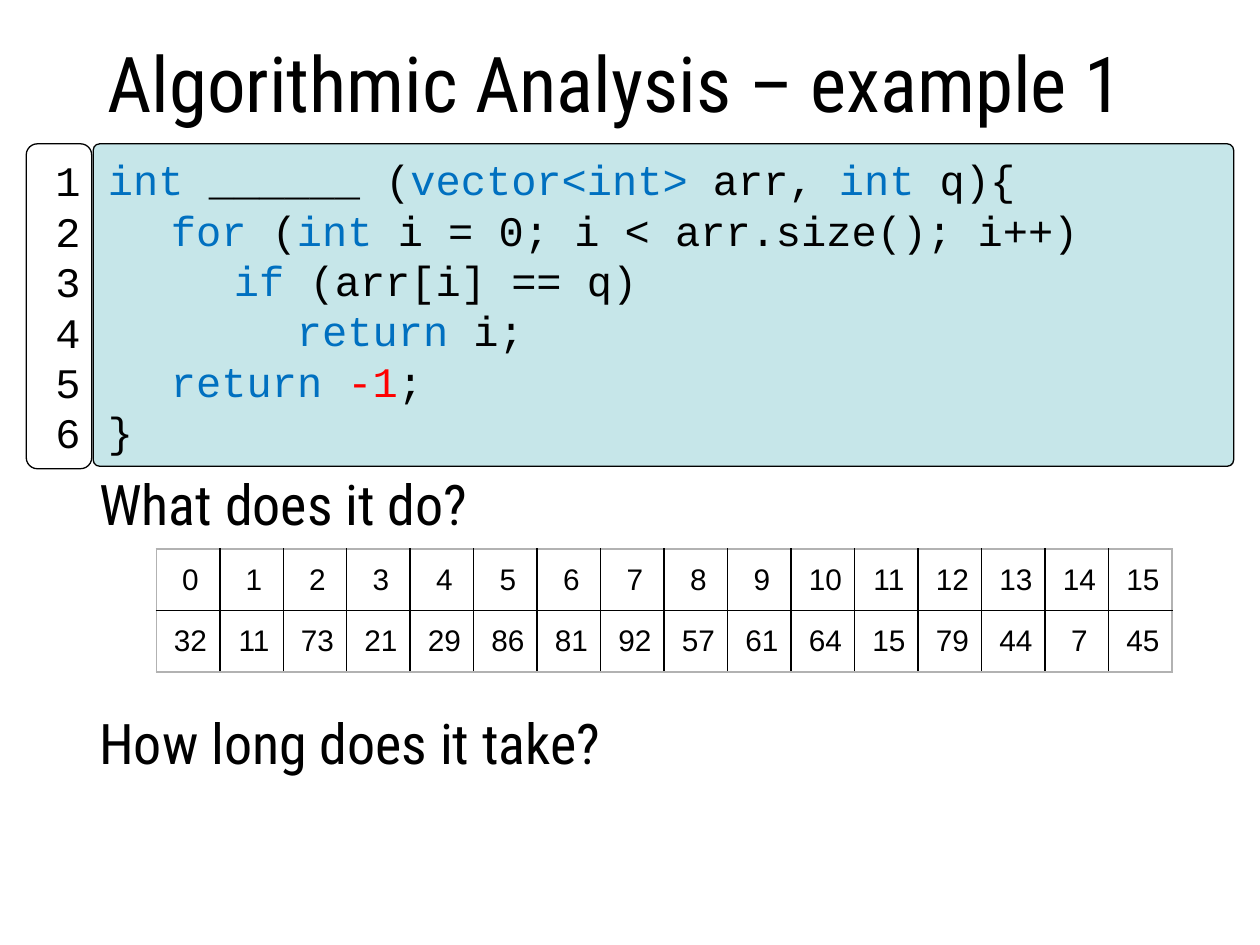
from lxml.etree import SubElement
from pptx import Presentation
from pptx.dml.color import RGBColor
from pptx.enum.shapes import MSO_SHAPE
from pptx.enum.text import MSO_ANCHOR as Anchor, MSO_AUTO_SIZE as AutoSize, PP_ALIGN as Align
from pptx.oxml.ns import qn
from pptx.util import Cm, Pt

# Content
TITLE = "Algorithmic Analysis – example 1"
QUESTIONS = ["What does it do?", "How long does it take?"]
BLACK, BLUE, RED, WHITE, TEAL, GREY = "000000", "0070C0", "FF0000", "FFFFFF", "C6E6E9", "B2B2B2"
CODE = [
    [("int ", BLUE), ("______ (", BLACK), ("vector<int> ", BLUE), ("arr,", BLACK),
     (" int ", BLUE), ("q){", BLACK)],
    [("\t", BLACK), ("for", BLUE), (" (", BLACK), ("int ", BLUE),
     ("i = 0; i < arr.size(); i++)", BLACK)],
    [("\t\t", BLACK), ("if", BLUE), (" (arr[i] == q)", BLACK)],
    [("\t\t\t", BLACK), ("return ", BLUE), ("i;", BLACK)],
    [("\t", BLACK), ("return ", BLUE), ("-1", RED), (";", BLACK)],
    [("}", BLACK)],
]
NUMBERS = [[(str(number), BLACK)] for number in range(1, len(CODE) + 1)]
VALUES = [32, 11, 73, 21, 29, 86, 81, 92, 57, 61, 64, 15, 79, 44, 7, 45]
TABLE = [range(len(VALUES)), VALUES]
HEADING_FONT, CODE_FONT, TABLE_FONT = "Roboto Condensed", "Courier New", "Arial"


def colour(value):
    return RGBColor.from_string(value)


def place(shape, left, top, width, height):
    shape.left, shape.top, shape.width, shape.height = Cm(left), Cm(top), Cm(width), Cm(height)


def set_frame(frame, anchor, margin):
    frame.word_wrap, frame.auto_size, frame.vertical_anchor = True, AutoSize.NONE, anchor
    frame.margin_left = frame.margin_right = frame.margin_top = frame.margin_bottom = Cm(margin)


def write(para, spans, font, size, align=Align.LEFT, before=0):
    """Fill a paragraph with (text, colour) spans, without a bullet."""
    para.alignment, para.space_before = align, Pt(before)
    props = para._p.get_or_add_pPr()
    props.set("marL", str(Cm(0.1)))
    props.set("indent", "0")
    SubElement(props, qn("a:buNone"))
    for text, tint in spans:
        span = para.add_run()
        span.text = text
        span.font.name, span.font.size = font, Pt(size)
        span.font.color.rgb = colour(tint)


def add_panel(shapes, position, radius, fill, lines, align):
    panel = shapes.add_shape(MSO_SHAPE.ROUNDED_RECTANGLE, *map(Cm, position))
    panel.adjustments[0] = radius
    panel.shadow.inherit = False
    panel.fill.solid()
    panel.fill.fore_color.rgb = colour(fill)
    panel.line.color.rgb = colour(BLACK)
    panel.line.width = Pt(0.75)
    frame = panel.text_frame
    set_frame(frame, Anchor.TOP, 0.16)
    for index, spans in enumerate(lines):
        para = frame.add_paragraph() if index else frame.paragraphs[0]
        write(para, spans, CODE_FONT, 24, align)


def set_borders(cell, edges):
    """Draw the cell's sides; edges holds the tags lying on the table's rim."""
    props = cell._tc.get_or_add_tcPr()
    for index, tag in enumerate(["a:lnL", "a:lnR", "a:lnT", "a:lnB"]):
        line = SubElement(props, qn(tag), w=str(Pt(1)))
        fill = SubElement(line, qn("a:solidFill"))
        SubElement(fill, qn("a:srgbClr"), val=GREY if tag in edges else BLACK)
        props.remove(line)
        props.insert(index, line)


deck = Presentation()
deck.slide_width, deck.slide_height = Cm(25.4), Cm(19.05)
page = deck.slides.add_slide(deck.slide_layouts[1])

# Title
title = page.shapes.title
place(title, 1.9, -0.58, 21.6, 4.44)
set_frame(title.text_frame, Anchor.MIDDLE, 0.16)
write(title.text_frame.paragraphs[0], [(TITLE, BLACK)], HEADING_FONT, 44)

# Code listing with line numbers
listing = page.shapes.add_group_shape()
add_panel(listing.shapes, (1.88, 2.9, 22.99, 6.5), 0.02, TEAL, CODE, Align.LEFT)
add_panel(listing.shapes, (0.53, 2.9, 1.32, 6.55), 0.17, WHITE, NUMBERS, Align.RIGHT)

# Questions, spaced apart to make room for the table
body = page.placeholders[1]
place(body, 1.9, 9.47, 21.6, 6.27)
frame = body.text_frame
set_frame(frame, Anchor.TOP, 0)
write(frame.paragraphs[0], [(QUESTIONS[0], BLACK)], HEADING_FONT, 32)
write(frame.add_paragraph(), [(QUESTIONS[1], BLACK)], HEADING_FONT, 32, before=98)

# Array table
rows, columns = len(TABLE), len(VALUES)
grid = page.shapes.add_table(rows, columns, Cm(3.15), Cm(11.07), Cm(1.28 * columns),
                             Cm(1.24 * rows)).table
grid.first_row = grid.horz_banding = False
for r, numbers in enumerate(TABLE):
    for c, number in enumerate(numbers):
        cell = grid.cell(r, c)
        cell.fill.solid()
        cell.fill.fore_color.rgb = colour(WHITE)
        cell.vertical_anchor = Anchor.MIDDLE
        cell.margin_left = cell.margin_right = cell.margin_top = cell.margin_bottom = Cm(0.13)
        write(cell.text_frame.paragraphs[0], [(str(number), BLACK)], TABLE_FONT, 17, Align.CENTER)
        rim = {"a:lnL": c == 0, "a:lnR": c == columns - 1, "a:lnT": r == 0, "a:lnB": r == rows - 1}
        set_borders(cell, [tag for tag, outer in rim.items() if outer])

deck.save("out.pptx")
